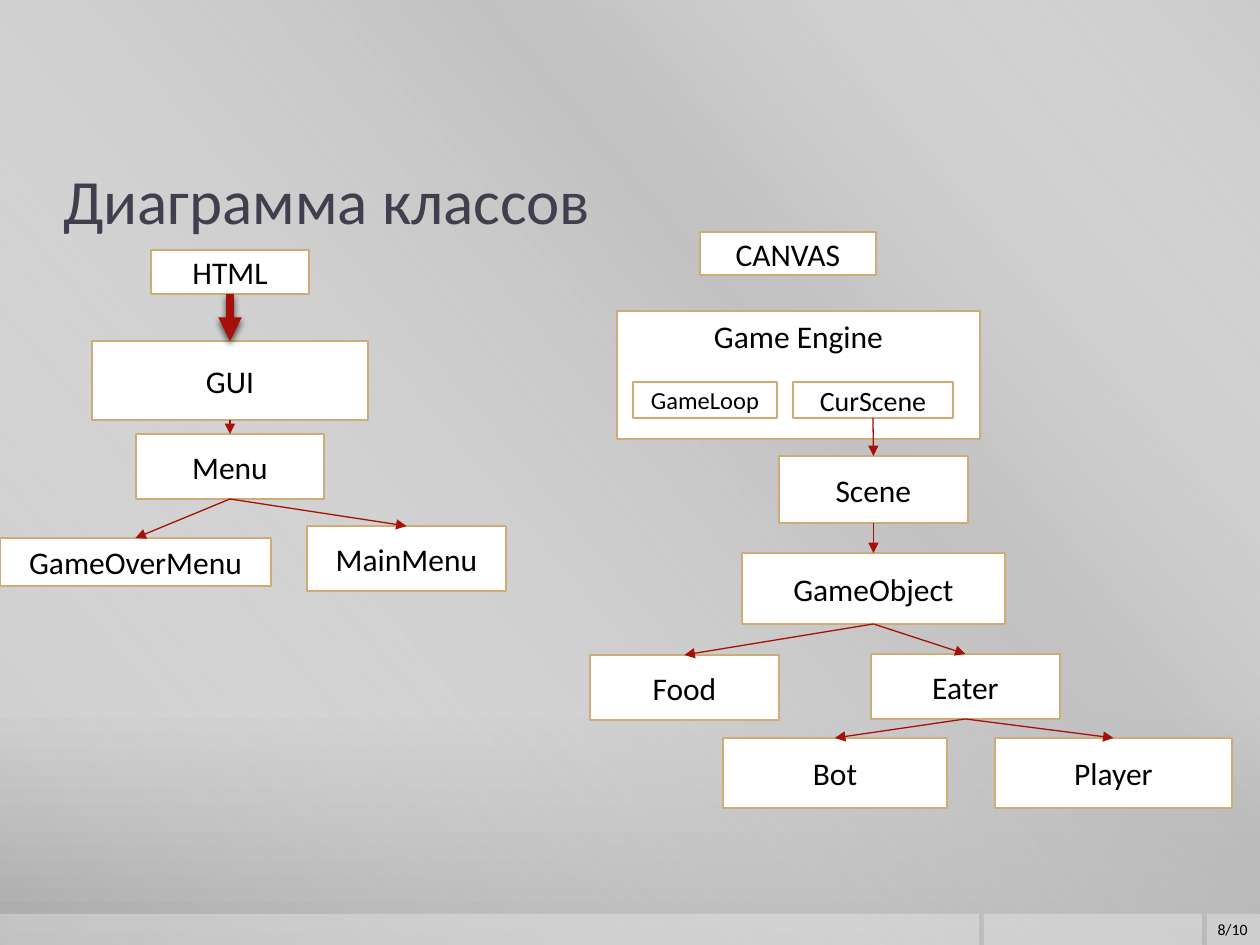
import pptx
import pptx.util
import pptx.dml.color
import pptx.enum.shapes
import pptx.enum.text
import pptx.oxml
import pptx.oxml.ns

RGB = pptx.dml.color.RGBColor
ALIGN = pptx.enum.text.PP_ALIGN
ANCHOR = pptx.enum.text.MSO_ANCHOR
KIND = pptx.enum.shapes.MSO_SHAPE
Pt = pptx.util.Pt
qn = pptx.oxml.ns.qn
NS = pptx.oxml.ns.nsdecls("a")

WHITE = RGB(0xFF, 0xFF, 0xFF)
BLACK = RGB(0, 0, 0)
SLATE = RGB(0x3F, 0x3F, 0x4D)
GOLD = RGB(0xCD, 0xAC, 0x77)
RED = RGB(0xA5, 0x10, 0x09)
FONT = "Calibri"
PX = 914400 // 126
WIDE, HIGH = 1260, 945

# stops: position %, colour, opacity %
BACK = [(0, "CBCBCB", 100), (76, "C8C8C8", 100), (100, "A7A7A7", 100)]
SHEEN = [(0, "FFFFFF", 0), (34, "BFBFBF", 61), (38, "BFBFBF", 76), (100, "FFFFFF", 0)]
FOOT = [(1207, 53), (984, 218), (0, 979)]  # left, width
FOOT_TOP = 914

TITLE = "Диаграмма классов"
PAGE = "8/10"
# name: left, top, width, height, text size
BOXES = {
    "GUI": (92, 341, 276, 79, 18),
    "Game Engine": (617, 311, 363, 128, 18),
    "Scene": (779, 456, 189, 67, 18),
    "GameObject": (742, 553, 263, 71, 18),
    "Eater": (871, 654, 189, 65, 18),
    "Player": (995, 738, 237, 70, 18),
    "Bot": (723, 738, 224, 70, 18),
    "MainMenu": (307, 526, 199, 65, 18),
    "GameOverMenu": (0, 538, 271, 48, 18),
    "HTML": (151, 250, 158, 44, 18),
    "CANVAS": (700, 232, 176, 43, 18),
    "CurScene": (793, 382, 160, 36, 16),
    "GameLoop": (633, 382, 144, 36, 14),
    "Food": (590, 655, 189, 65, 18),
    "Menu": (136, 434, 188, 65, 18),
}
MAIN = ("HTML", "GUI")
LINKS = [
    MAIN, ("GUI", "Menu"), ("Menu", "GameOverMenu"), ("Menu", "MainMenu"),
    ("CurScene", "Scene"), ("Scene", "GameObject"), ("GameObject", "Food"),
    ("GameObject", "Eater"), ("Eater", "Bot"), ("Eater", "Player"),
]


def px(*nums):
    return [n * PX for n in nums]


def blend(fill, root, stops, angle):
    """Fill with a gradient of any number of stops, angle clockwise."""
    fill.gradient()
    fill.gradient_angle = 360 - angle
    group = root.find(".//" + qn("a:gsLst"))
    for old in list(group):
        group.remove(old)
    for pos, color, alpha in stops:
        group.append(pptx.oxml.parse_xml(
            f'<a:gs {NS} pos="{pos * 1000}"><a:srgbClr val="{color}">'
            f'<a:alpha val="{alpha * 1000}"/></a:srgbClr></a:gs>'))


def rect(slide, *place):
    shape = slide.shapes.add_shape(KIND.RECTANGLE, *px(*place))
    shape.shadow.inherit = False
    shape.line.fill.background()
    return shape


def write(frame, text, size, color, align, anchor=ANCHOR.MIDDLE):
    frame.text = text
    frame.word_wrap = True
    frame.vertical_anchor = anchor
    para = frame.paragraphs[0]
    para.alignment = align
    para.font.size = Pt(size)
    para.font.name = FONT
    para.font.color.rgb = color


def backdrop(slide):
    blend(slide.background.fill, slide._element, BACK, 90)
    sheen = rect(slide, 0, 0, WIDE, HIGH)
    blend(sheen.fill, sheen._element, SHEEN, 140)
    for left, width in FOOT:
        bar = rect(slide, left, FOOT_TOP, width, HIGH - FOOT_TOP)
        bar.fill.solid()
        bar.fill.fore_color.rgb = WHITE
        tint = bar._element.spPr.find(qn("a:solidFill"))[0]
        tint.append(pptx.oxml.parse_xml(f'<a:alpha {NS} val="30000"/>'))


def heading(slide):
    title = slide.shapes.title
    slide.shapes._spTree.append(title._element)  # in front of the backdrop
    title.left, title.top, title.width, title.height = px(63, 136, 1134, 126)
    frame = title.text_frame
    write(frame, TITLE, 36, SLATE, ALIGN.LEFT)
    frame.margin_left = frame.margin_right = 0
    page = slide.shapes.add_textbox(*px(1196, FOOT_TOP, 64, HIGH - FOOT_TOP))
    write(page.text_frame, PAGE, 9, BLACK, ALIGN.RIGHT)


def node(slide, name, left, top, width, height, size):
    box = rect(slide, left, top, width, height)
    box.fill.solid()
    box.fill.fore_color.rgb = WHITE
    box.line.color.rgb = GOLD
    box.line.width = Pt(1.1)
    anchor = ANCHOR.TOP if name == "Game Engine" else ANCHOR.MIDDLE
    write(box.text_frame, name, size, BLACK, ALIGN.CENTER, anchor)
    return box


def link(slide, start, end, main):
    line = slide.shapes.add_connector(
        pptx.enum.shapes.MSO_CONNECTOR.STRAIGHT, 0, 0, 0, 0)
    line.begin_connect(start, 2)
    line.end_connect(end, 0)
    line.line.color.rgb = RED
    line.line.width = Pt(4.5 if main else 0.75)
    line.line._get_or_add_ln().append(
        pptx.oxml.parse_xml(f'<a:tailEnd {NS} type="triangle"/>'))
    shade = (
        f'<a:outerShdw blurRad="{Pt(4)}" dist="{Pt(2)}" dir="5400000" rotWithShape="0">'
        '<a:srgbClr val="000000"><a:alpha val="70000"/></a:srgbClr></a:outerShdw>'
    ) if main else ""
    line._element.spPr.append(
        pptx.oxml.parse_xml(f"<a:effectLst {NS}>{shade}</a:effectLst>"))


def main():
    deck = pptx.Presentation()
    deck.slide_width, deck.slide_height = px(WIDE, HIGH)
    slide = deck.slides.add_slide(deck.slide_layouts[5])
    backdrop(slide)
    heading(slide)
    nodes = {name: node(slide, name, *spot) for name, spot in BOXES.items()}
    for pair in LINKS:
        start, end = pair
        link(slide, nodes[start], nodes[end], pair == MAIN)
    deck.save("out.pptx")


if __name__ == "__main__":
    main()
